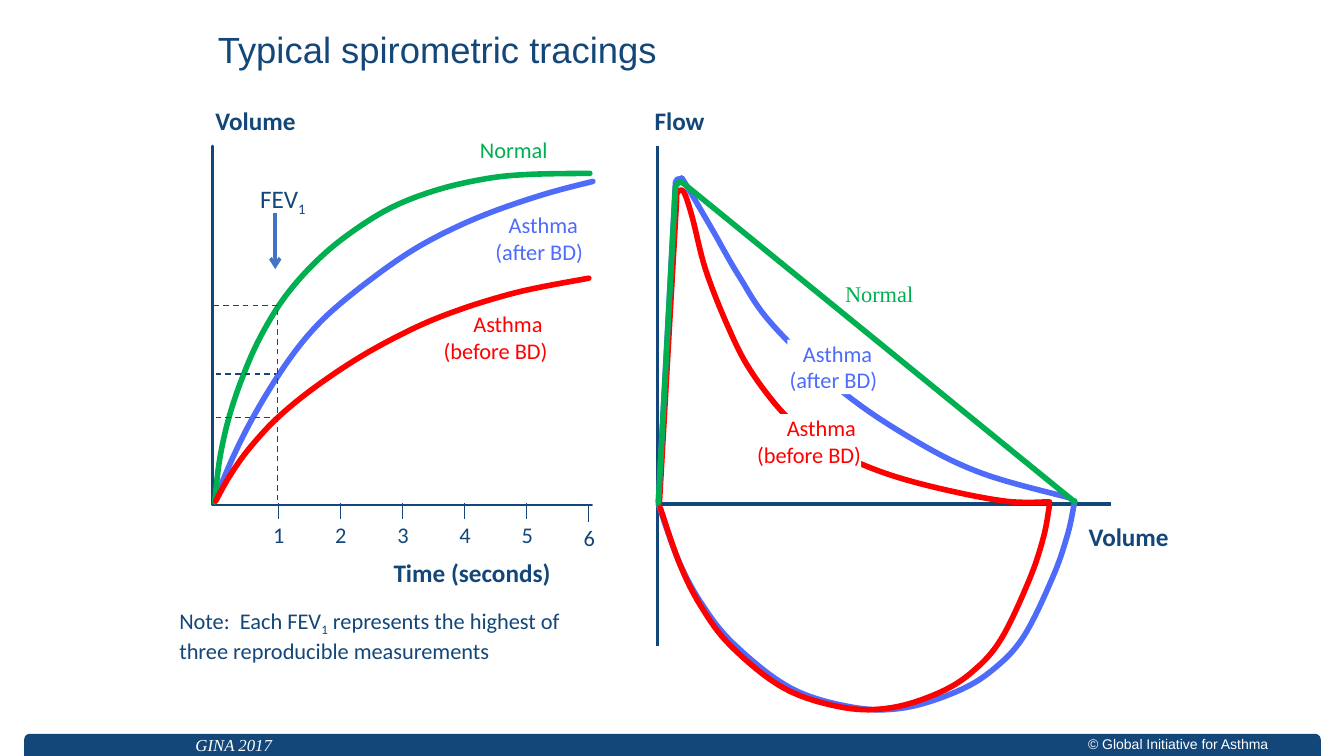
from copy import deepcopy
from dataclasses import dataclass

from lxml import etree
from pptx import Presentation
from pptx import util as u
from pptx.dml.color import RGBColor
from pptx.enum import dml, shapes, text
from pptx.oxml.ns import qn

NAVY, BLUE, GREEN, RED = "134679", "4E6BFA", "00B050", "FF0000"
WHITE, ARROW_BLUE = "FFFFFF", "4472C4"
LEFT, CENTER, RIGHT = text.PP_ALIGN.LEFT, text.PP_ALIGN.CENTER, text.PP_ALIGN.RIGHT
DASH = dml.MSO_LINE.DASH
Point = tuple[float, float]


@dataclass
class Label:
    box: tuple[float, float, float, float]
    words: str  # "~" switches subscript on and off
    color: str = NAVY
    size: int = 16
    align: text.PP_ALIGN = RIGHT
    bold: bool = False
    italic: bool = False
    font: str = "Calibri"
    wrap: bool = False
    masks_curve: bool = False
    flush: bool = False


@dataclass
class Curve:
    color: str
    knots: list[Point]
    rise: tuple[Point, ...] = ()  # straight stretch before the smooth part


@dataclass
class Rule:
    start: Point
    end: Point
    width: float = 1
    color: str = NAVY
    dashed: bool = False
    arrow: bool = False


def rgb(color: str) -> RGBColor:
    return RGBColor.from_string(color)


def smooth(knots: list[Point], steps: int = 8) -> list[Point]:
    """Catmull-Rom spline through the knots."""
    padded = [knots[0], *knots, knots[-1]]
    spline = [knots[0]]
    for a, b, c, d in zip(padded, padded[1:], padded[2:], padded[3:]):
        for step in range(1, steps + 1):
            t = step / steps
            x, y = (
                (2 * q + (r - p) * t + (2 * p - 5 * q + 4 * r - s) * t**2
                 + (3 * q - p - 3 * r + s) * t**3) / 2
                for p, q, r, s in zip(a, b, c, d)
            )
            spline.append((x, y))
    return spline


def draw_path(slide, points: list[Point], color: str, width: float, dashed: bool = False) -> None:
    emu = [(u.Inches(x), u.Inches(y)) for x, y in points]
    builder = slide.shapes.build_freeform(*emu[0])
    builder.add_line_segments(emu[1:], close=False)
    path = builder.convert_to_shape()
    path.shadow.inherit = False
    path.fill.background()
    path.line.color.rgb = rgb(color)
    path.line.width = u.Pt(width)
    if dashed:
        path.line.dash_style = DASH
    else:
        path.line._get_or_add_ln().set("cap", "rnd")


def draw_curve(slide, curve: Curve) -> None:
    draw_path(slide, [*curve.rise, *smooth(curve.knots)], curve.color, 4)


def draw_rule(slide, rule: Rule) -> None:
    ends = [u.Inches(v) for v in (*rule.start, *rule.end)]
    line = slide.shapes.add_connector(shapes.MSO_CONNECTOR.STRAIGHT, *ends)
    line.line.color.rgb = rgb(rule.color)
    line.line.width = u.Pt(rule.width)
    if rule.dashed:
        line.line.dash_style = DASH
    if rule.arrow:
        etree.SubElement(line.line._get_or_add_ln(), qn("a:tailEnd"), type="arrow")
    etree.SubElement(line._element.spPr, qn("a:effectLst"))


def draw_label(slide, label: Label) -> None:
    box = [u.Inches(v) for v in label.box]
    if label.masks_curve:
        holder = slide.shapes.add_shape(shapes.MSO_SHAPE.RECTANGLE, *box)
        holder.shadow.inherit = False
        holder.fill.solid()
        holder.fill.fore_color.rgb = rgb(WHITE)
        holder.line.fill.background()
    else:
        holder = slide.shapes.add_textbox(*box)
    frame = holder.text_frame
    frame.word_wrap = label.wrap
    frame.vertical_anchor = text.MSO_ANCHOR.TOP
    if label.masks_curve or label.flush:
        frame.margin_left = frame.margin_right = frame.margin_top = frame.margin_bottom = 0
    paragraph = frame.paragraphs[0]
    paragraph.alignment = label.align
    for index, part in enumerate(label.words.split("~")):
        for row, words in enumerate(part.split("\n")):
            if row:
                paragraph.add_line_break()
            if not words:
                continue
            run = paragraph.add_run()
            run.text = words
            run.font.name, run.font.size = label.font, u.Pt(label.size)
            run.font.bold, run.font.italic = label.bold, label.italic
            run.font.color.rgb = rgb(label.color)
            if index % 2:
                run.font._element.set("baseline", "-25000")
    for line_break in paragraph._p.findall(qn("a:br")):
        line_break.insert(0, deepcopy(paragraph.runs[0].font._element))


def draw_title(slide) -> None:
    title = slide.shapes.title
    title.left, title.top, title.width, title.height = (u.Inches(v) for v in (1.86, 0.27, 8.31, 1.02))
    title.text_frame.vertical_anchor = text.MSO_ANCHOR.TOP
    paragraph = title.text_frame.paragraphs[0]
    paragraph.alignment, paragraph.line_spacing = LEFT, 0.9
    paragraph._p.get_or_add_pPr().set("marL", str(u.Inches(0.2)))
    run = paragraph.add_run()
    run.text = "Typical spirometric tracings"
    run.font.name, run.font.size = "Arial", u.Pt(26)
    run.font.color.rgb = rgb(NAVY)


def draw_footer(slide) -> None:
    band = slide.shapes.add_shape(shapes.MSO_SHAPE.ROUND_2_SAME_RECTANGLE,
                                  *(u.Inches(v) for v in (0.24, 7.28, 12.86, 0.22)))
    band.adjustments[0] = 0.25
    band.shadow.inherit = False
    band.fill.solid()
    band.fill.fore_color.rgb = rgb(NAVY)
    band.line.fill.background()
    draw_label(slide, Label((10.78, 7.3, 1.81, 0.17), "© Global Initiative for Asthma", WHITE, 10,
                            CENTER, font="Arial", flush=True))
    draw_label(slide, Label((1.84, 7.24, 2.24, 0.26), "GINA 2017", WHITE, 12, LEFT, italic=True,
                            font="Times New Roman", wrap=True))


def draw_volume_time(slide) -> None:
    draw_path(slide, [(2.11, 1.45), (2.11, 5.01), (5.87, 5.01)], NAVY, 2)
    for curve in (
        Curve(BLUE, [(2.13, 4.97), (2.3, 4.56), (2.51, 4.14), (2.79, 3.68), (3.07, 3.31), (3.39, 3),
                     (3.9, 2.61), (4.31, 2.36), (4.81, 2.13), (5.39, 1.93), (5.88, 1.8)]),
        Curve(GREEN, [(2.13, 4.98), (2.18, 4.55), (2.28, 4.11), (2.43, 3.68), (2.6, 3.31), (2.83, 2.94),
                      (3.12, 2.61), (3.45, 2.33), (3.88, 2.06), (4.35, 1.88), (4.84, 1.77),
                      (5.26, 1.73), (5.85, 1.72)]),
        Curve(RED, [(2.14, 4.97), (2.28, 4.72), (2.48, 4.44), (2.78, 4.12), (3.21, 3.78), (3.73, 3.45),
                    (4.35, 3.15), (5.09, 2.91), (5.84, 2.76)]),
    ):
        draw_curve(slide, curve)
    # Seconds on the time axis; the last one hangs slightly lower
    for second in range(1, 7):
        x = 2.76 + (second - 1) * 3.08 / 5
        drop = 0.03 if second == 6 else 0
        draw_rule(slide, Rule((x, 5.15 + drop), (x, 4.99 + drop)))
        draw_label(slide, Label((x - 0.15, 5.12 + drop, 0.31, 0.37), str(second), align=CENTER))
    # FEV1 readings at one second
    draw_path(slide, [(2.12, 3.03), (2.75, 3.03), (2.75, 4.96)], NAVY, 1, dashed=True)
    for y in (3.71, 4.14):
        draw_rule(slide, Rule((2.14, y), (2.74, y), dashed=True))
    draw_rule(slide, Rule((2.73, 2.11), (2.73, 2.67), 2.5, ARROW_BLUE, arrow=True))
    for label in (
        Label((2.03, 1, 1, 0.4), "Volume", size=18, bold=True),
        Label((3.79, 5.48, 1.77, 0.4), "Time (seconds)", size=18, bold=True),
        Label((2.46, 1.77, 0.67, 0.4), "FEV~1~", size=18),
        Label((4.65, 1.3, 0.88, 0.37), "Normal", GREEN),
        Label((4.79, 2.05, 1.09, 0.64), "Asthma \n(after BD)", BLUE),
        Label((4.28, 3.03, 1.25, 0.64), "Asthma \n(before BD)", RED),
        Label((1.68, 5.97, 4.48, 0.64),
              "Note:  Each FEV~1~ represents the highest of three reproducible measurements",
              align=LEFT, wrap=True),
    ):
        draw_label(slide, label)


def draw_flow_volume(slide) -> None:
    draw_rule(slide, Rule((6.52, 1.45), (6.52, 6.41), 2.5))
    draw_rule(slide, Rule((11.02, 5), (6.55, 5), 2.5))
    # Listed from back to front: the masks break the asthma curves only
    for part in (
        Label((6.24, 1, 1, 0.4), "Flow", size=18, bold=True, align=CENTER),
        Label((10.69, 5.12, 1, 0.4), "Volume", size=18, bold=True),
        Label((8.19, 2.73, 1.06, 0.37), "Normal", GREEN, align=CENTER, font="Times New Roman"),
        Curve(BLUE, [(6.53, 5), (6.73, 5.56), (6.96, 5.99), (7.28, 6.39), (7.85, 6.83), (8.48, 7.02),
                     (8.98, 7.02), (9.49, 6.86), (9.84, 6.65), (10.15, 6.32), (10.44, 5.73),
                     (10.59, 5.3), (10.66, 4.97)]),
        Curve(RED, [(6.71, 1.93), (6.74, 1.89), (6.79, 1.92), (6.87, 2.17), (7, 2.68), (7.22, 3.24),
                    (7.44, 3.67), (7.78, 4.11), (8.13, 4.39), (8.63, 4.64), (9.21, 4.82), (9.95, 4.97),
                    (10.41, 4.98)], rise=((6.54, 5), (6.71, 2.01))),
        Curve(BLUE, [(6.7, 1.81), (6.72, 1.78), (6.76, 1.78), (6.79, 1.81), (7.06, 2.27), (7.33, 2.74),
                     (7.66, 3.22), (8.36, 3.89), (9.09, 4.38), (9.75, 4.7), (10.61, 4.94)],
              rise=((6.53, 4.98),)),
        Label((7.81, 3.37, 0.89, 0.54), "Asthma \n(after BD)", BLUE, masks_curve=True),
        Label((7.49, 4.11, 1.05, 0.54), "Asthma \n(before BD)", RED, masks_curve=True),
        Curve(GREEN, [(6.78, 1.82), (10.66, 4.98)], rise=((6.53, 4.99), (6.7, 1.85), (6.74, 1.8))),
        Curve(RED, [(6.55, 5.04), (6.74, 5.59), (6.95, 6.01), (7.25, 6.41), (7.78, 6.83), (8.37, 7.02),
                    (8.85, 7.02), (9.32, 6.87), (9.65, 6.66), (9.93, 6.34), (10.21, 5.75),
                    (10.35, 5.33), (10.41, 5.01)]),
    ):
        if isinstance(part, Curve):
            draw_curve(slide, part)
        else:
            draw_label(slide, part)


def main() -> None:
    deck = Presentation()
    deck.slide_width, deck.slide_height = u.Inches(13.33), u.Inches(7.5)
    slide = deck.slides.add_slide(deck.slide_layouts[5])
    draw_title(slide)
    draw_footer(slide)
    draw_volume_time(slide)
    draw_flow_volume(slide)
    deck.save("out.pptx")


if __name__ == "__main__":
    main()
